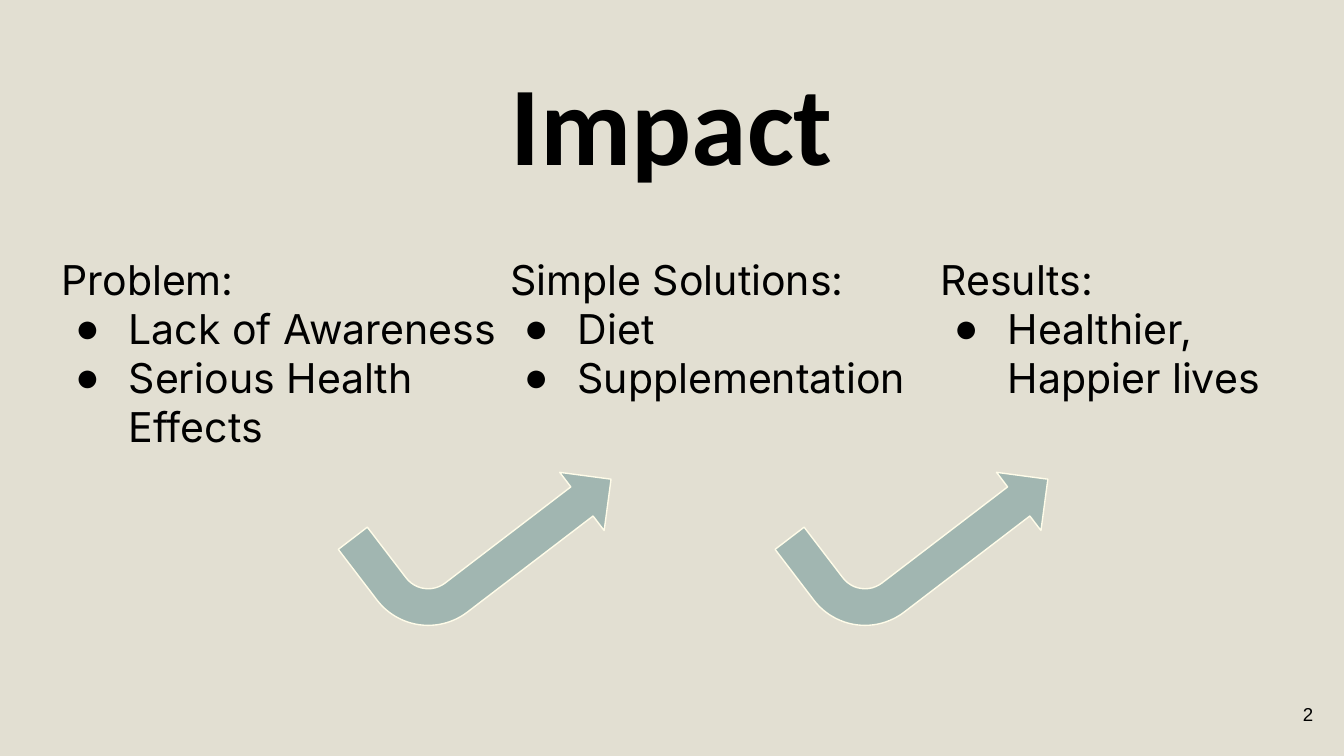
from lxml import etree
from pptx import Presentation
from pptx.dml.color import RGBColor
from pptx.enum import shapes, text
from pptx.oxml import ns
from pptx.util import Inches, Pt

BACKGROUND, INK, ARROW_FILL, ARROW_LINE = "E2DFD2", "000000", "A1B6B1", "FFFCE9"
TITLE = "Impact"
PAGE_NUMBER = "2"
COLUMNS = [
    (0.36, 3.89, 1.51, "Problem:", ["Lack of Awareness", "Serious Health Effects"]),
    (3.7, 3.64, 1.38, "Simple Solutions:", ["Diet", "Supplementation"]),
    (6.9, 3.1, 1.54, "Results:", ["Healthier, Happier lives"]),
]
COLUMN_TOP = 1.79
ARROW_LEFTS = [2.65, 5.9]
ARROW_ADJUSTMENTS = [0.25, 0.25, 0.25, 0.44]


def color(value):
    """Turn a hex string into a colour."""
    return RGBColor.from_string(value)


def add_text(page, place, lines, font, size, bold=False,
             align=text.PP_ALIGN.LEFT, anchor=text.MSO_ANCHOR.TOP):
    """Add a wrapped text box and return its paragraphs."""
    frame = page.shapes.add_textbox(*map(Inches, place)).text_frame
    frame.word_wrap = True
    frame.vertical_anchor = anchor
    frame.margin_left = frame.margin_right = Inches(0.1)
    frame.margin_top = frame.margin_bottom = Inches(0.1)
    frame.text = "\n".join(lines)
    for para in frame.paragraphs:
        para.alignment = align
        for span in para.runs:
            span.font.name = font
            span.font.size = Pt(size)
            span.font.bold = bold
            span.font.color.rgb = color(INK)
    return frame.paragraphs


def add_bullet(para):
    """Give a paragraph a hanging round bullet."""
    properties = para._p.get_or_add_pPr()
    properties.set("marL", str(Inches(0.5)))
    properties.set("indent", str(Inches(-0.4)))
    tint = etree.SubElement(properties, ns.qn("a:buClr"))
    etree.SubElement(tint, ns.qn("a:srgbClr"), val=INK)
    etree.SubElement(properties, ns.qn("a:buFont"), typeface="Arial")
    etree.SubElement(properties, ns.qn("a:buChar"), char="●")


def add_arrow(page, left):
    """Add a bent arrow that swings up to the next column."""
    arrow = page.shapes.add_shape(shapes.MSO_SHAPE.BENT_ARROW, Inches(left),
                                  Inches(3.39), Inches(1.93), Inches(1.09))
    for index, value in enumerate(ARROW_ADJUSTMENTS):
        arrow.adjustments[index] = value
    arrow.rotation = 142.6
    arrow._element.spPr.find(ns.qn("a:xfrm")).set("flipH", "1")
    arrow.shadow.inherit = False
    arrow.fill.solid()
    arrow.fill.fore_color.rgb = color(ARROW_FILL)
    arrow.line.color.rgb = color(ARROW_LINE)
    arrow.line.width = Pt(0.75)


def main():
    """Build the slide and save it."""
    deck = Presentation()
    deck.slide_width = Inches(10)
    deck.slide_height = deck.slide_width * 9 // 16
    page = deck.slides.add_slide(deck.slide_layouts[6])
    page.background.fill.solid()
    page.background.fill.fore_color.rgb = color(BACKGROUND)

    add_text(page, (2.98, 0, 4.04, 1.79), [TITLE], "Calibri", 60, True,
             text.PP_ALIGN.CENTER, text.MSO_ANCHOR.MIDDLE)
    for left, width, height, heading, points in COLUMNS:
        paras = add_text(page, (left, COLUMN_TOP, width, height),
                         [heading, *points], "Inter", 22)
        for para in paras[1:]:
            add_bullet(para)
    for left in ARROW_LEFTS:
        add_arrow(page, left)
    add_text(page, (9.27, 5.1, 0.6, 0.43), [PAGE_NUMBER], "Arial", 10,
             align=text.PP_ALIGN.RIGHT, anchor=text.MSO_ANCHOR.MIDDLE)
    deck.save("out.pptx")


if __name__ == "__main__":
    main()
